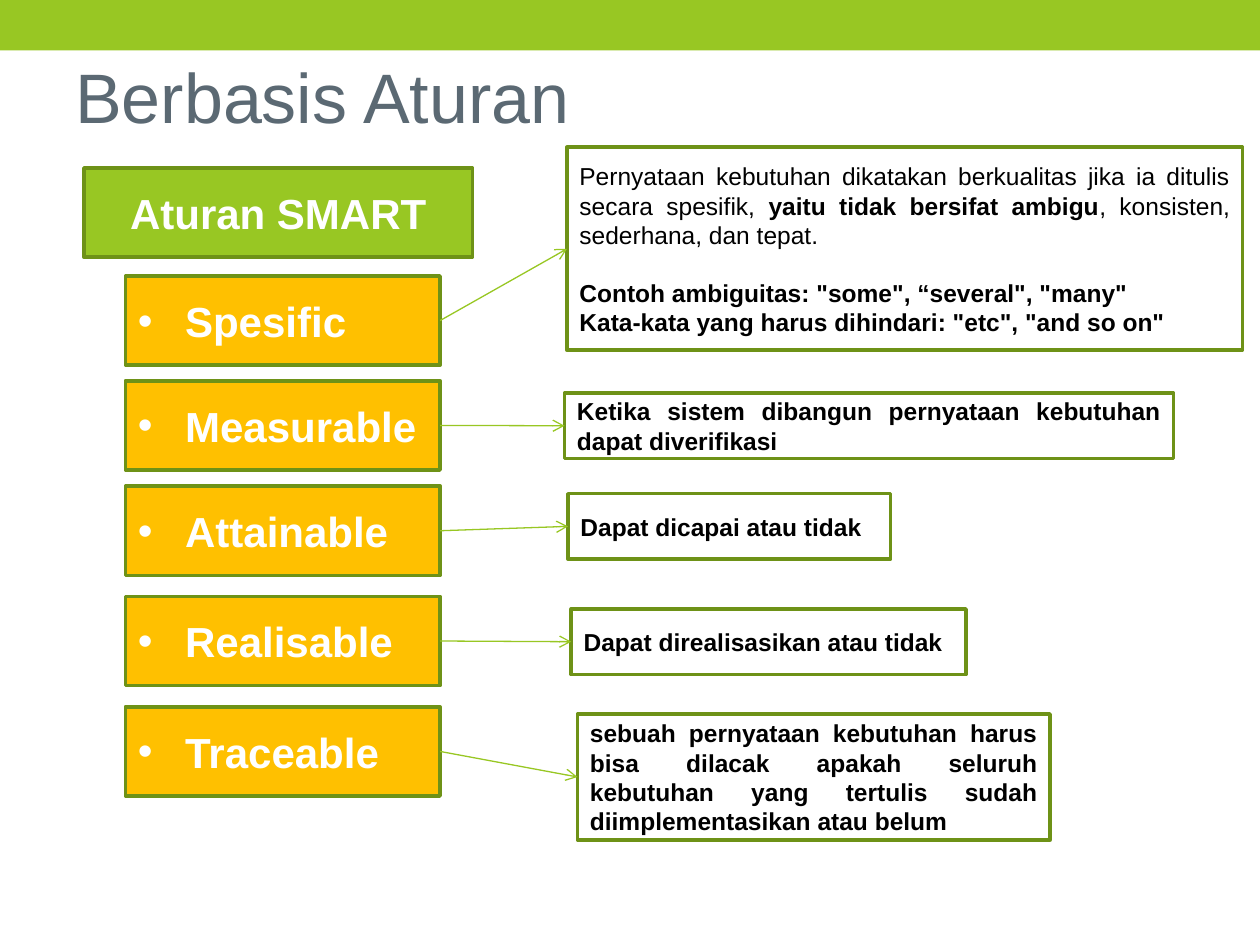
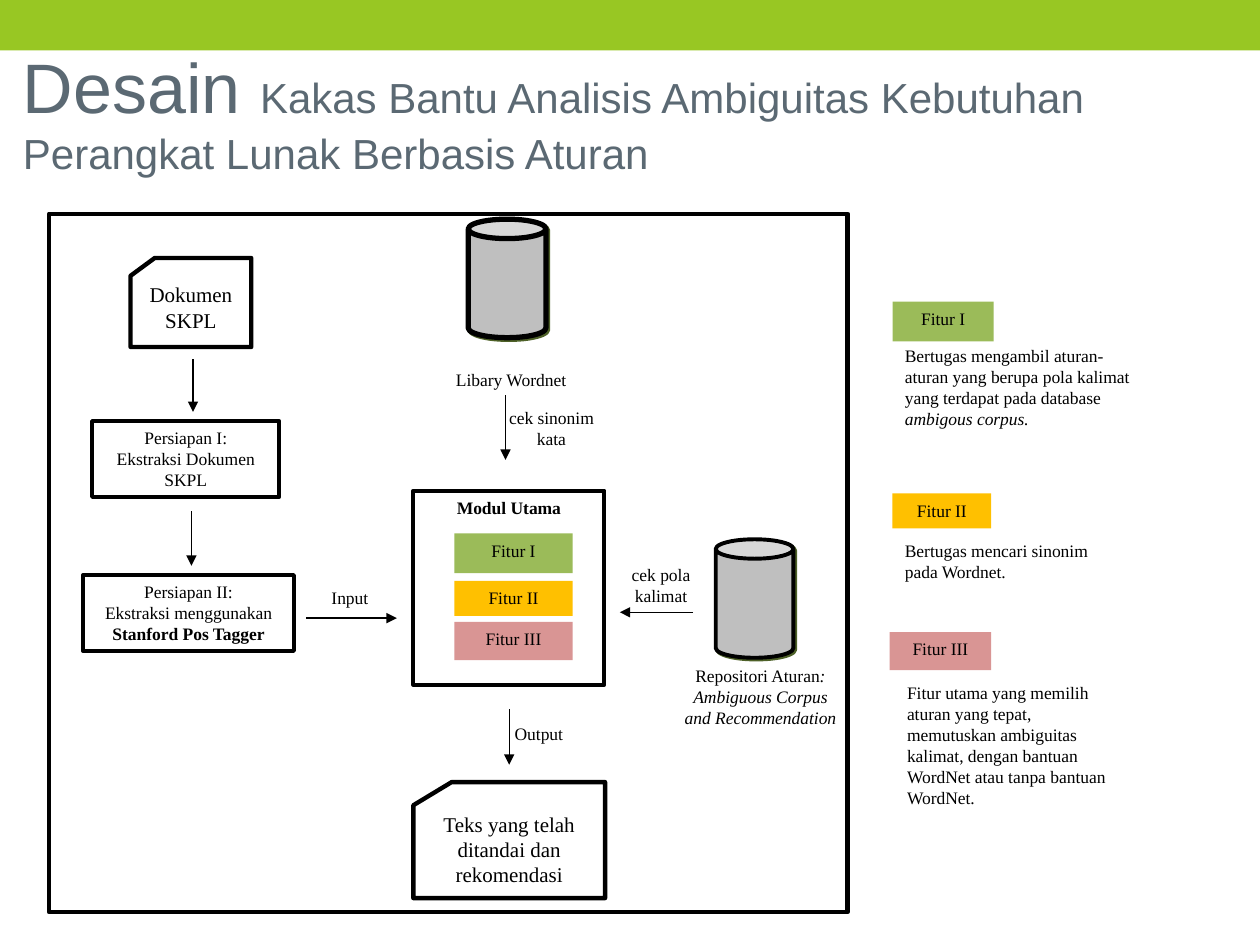
from lxml import etree
from pptx import Presentation
from pptx.dml.color import RGBColor
from pptx.enum.shapes import MSO_CONNECTOR, MSO_SHAPE
from pptx.enum.text import MSO_ANCHOR, PP_ALIGN
from pptx.oxml.ns import qn
from pptx.util import Pt

RECTANGLE, CAN = MSO_SHAPE.RECTANGLE, MSO_SHAPE.CAN
CARD = MSO_SHAPE.FLOWCHART_CARD
STRAIGHT = MSO_CONNECTOR.STRAIGHT
TOP, MIDDLE = MSO_ANCHOR.TOP, MSO_ANCHOR.MIDDLE
LEFT, CENTER, JUSTIFY = PP_ALIGN.LEFT, PP_ALIGN.CENTER, PP_ALIGN.JUSTIFY
LEFT_SIDE, RIGHT_SIDE = 1, 3

COLORS = {
    "band": "98C723", "title": "5B6973", "border": "6E9217", "amber": "FFC000",
    "green": "9BBB59", "rose": "D99594", "gray": "BFBFBF", "shade": "4E6128",
    "white": "FFFFFF", "black": "000000",
}
TITLE = {"name": "Arial", "size": Pt(40), "color": "title"}
BUTTON = {"name": "Arial", "size": Pt(24), "bold": True, "color": "white"}
NOTE = {"name": "Arial", "size": Pt(14), "color": "black"}
LABEL = {"name": "Times New Roman", "size": Pt(10), "color": "black"}
CARD_TEXT = LABEL | {"size": Pt(12)}
BOLD, ITALIC = {"bold": True}, {"italic": True}


class Page:
    """Holds the deck style and the current slide, and draws each kind of element."""

    def __init__(self, deck):
        self.deck = deck
        self.slide = None

    def color(self, name):
        return RGBColor.from_string(COLORS[name])

    def start(self, title, area):
        self.slide = self.deck.slides.add_slide(self.deck.slide_layouts[6])
        self.shape((0, 0, 720, 28.8), fill="band")
        self.text(area, [title], TITLE, align=LEFT, anchor=MIDDLE)

    def set_text(self, box, paragraphs, style, align, anchor, gaps=()):
        frame = box.text_frame
        layout = {"word_wrap": True, "vertical_anchor": anchor,
                  "margin_left": Pt(7.2), "margin_right": Pt(7.2),
                  "margin_top": Pt(3.6), "margin_bottom": Pt(3.6)}
        for name, value in layout.items():
            setattr(frame, name, value)
        for index, spans in enumerate(paragraphs):
            para = frame.add_paragraph() if index else frame.paragraphs[0]
            para.alignment = align
            if index in gaps:
                para.space_before = Pt(16)
            for content, changes in [(spans, {})] if isinstance(spans, str) else spans:
                span = para.add_run()
                span.text = content
                for name, value in (style | changes).items():
                    if name == "color":
                        span.font.color.rgb = self.color(value)
                    else:
                        setattr(span.font, name, value)

    def text(self, area, paragraphs, style=LABEL, align=CENTER, anchor=TOP):
        box = self.slide.shapes.add_textbox(*map(Pt, area))
        self.set_text(box, paragraphs, style, align, anchor)

    def shape(self, area, paragraphs=(), style=LABEL, kind=RECTANGLE, fill=None,
              line=None, width=2.25, align=CENTER, anchor=TOP, gaps=()):
        box = self.slide.shapes.add_shape(kind, *map(Pt, area))
        box.shadow.inherit = False
        if fill:
            box.fill.solid()
            box.fill.fore_color.rgb = self.color(fill)
        else:
            box.fill.background()
        if line:
            box.line.color.rgb = self.color(line)
            box.line.width = Pt(width)
        else:
            box.line.fill.background()
        if paragraphs:
            self.set_text(box, paragraphs, style, align, anchor, gaps)
        return box

    def bullet(self, box):
        properties = box.text_frame.paragraphs[0]._p.get_or_add_pPr()
        properties.set("marL", str(Pt(27)))
        properties.set("indent", str(-Pt(27)))
        etree.SubElement(properties, qn("a:buFont"), typeface="Arial")
        etree.SubElement(properties, qn("a:buChar"), char="•")

    def cylinder(self, area, width):
        can = self.shape(area, kind=CAN, fill="gray", line="black", width=width)
        effects = can._element.spPr.find(qn("a:effectLst"))
        shadow = etree.SubElement(effects, qn("a:outerShdw"), blurRad="0",
                                  dist=str(Pt(1.4)), dir="2700000")
        etree.SubElement(shadow, qn("a:srgbClr"), val=COLORS["shade"])

    def arrow(self, points=(0, 0, 0, 0), color="black", head="triangle", join=None):
        line = self.slide.shapes.add_connector(STRAIGHT, *map(Pt, points))
        if join:
            line.begin_connect(join[0], RIGHT_SIDE)
            line.end_connect(join[1], LEFT_SIDE)
        line.line.color.rgb = self.color(color)
        line.line.width = Pt(0.75)
        etree.SubElement(line.line._get_or_add_ln(), qn("a:tailEnd"), type=head)
        etree.SubElement(line._element.spPr, qn("a:effectLst"))


def build_rules(page):
    """Draw the SMART rules, each joined to its explanation."""
    page.start("Berbasis Aturan", (36, 15.4, 648, 77.8))
    outline = {"line": "border", "width": 2.07, "anchor": MIDDLE}
    page.shape((48, 96, 222, 51), ["Aturan SMART"], BUTTON, fill="band", **outline)
    specific = [
        [("Pernyataan kebutuhan dikatakan berkualitas jika ia ditulis secara spesifik, ", {}),
         ("yaitu tidak bersifat ambigu", BOLD),
         (", konsisten, sederhana, dan tepat.", {})],
        [('Contoh ambiguitas: "some", “several", "many"', BOLD)],
        [('Kata-kata yang harus dihindari: "etc", "and so on"', BOLD)],
    ]
    rules = [
        ("Spesific", 157.7, (324, 84.2, 386, 116), specific),
        ("Measurable", 217.6, (322.6, 224.6, 348, 37.4),
         [[("Ketika sistem dibangun pernyataan kebutuhan dapat diverifikasi", BOLD)]]),
        ("Attainable", 277.8, (324.6, 282.1, 184.4, 37.4),
         [[("Dapat dicapai atau tidak", BOLD)]]),
        ("Realisable", 340.8, (326.4, 348, 225.6, 37.4),
         [[("Dapat direalisasikan atau tidak", BOLD)]]),
        ("Traceable", 403.9, (330, 408, 270, 72),
         [[("sebuah pernyataan kebutuhan harus bisa dilacak apakah seluruh kebutuhan "
            "yang tertulis sudah diimplementasikan atau belum", BOLD)]]),
    ]
    for name, top, area, paragraphs in rules:
        button = page.shape((71.7, top, 179.8, 51), [name], BUTTON, fill="amber",
                            align=LEFT, **outline)
        page.bullet(button)
        note = page.shape(area, paragraphs, NOTE, align=JUSTIFY,
                          gaps=(1,) if name == "Spesific" else (), **outline)
        page.arrow(color="band", head="arrow", join=(button, note))


def build_design(page):
    """Draw the tool's processing flow and the legend of its features."""
    page.start([("Desain ", {}),
                ("Kakas Bantu Analisis Ambiguitas Kebutuhan Perangkat Lunak Berbasis Aturan",
                 {"size": Pt(24)})], (6, 18, 705, 90))
    page.shape((28, 122.2, 456.4, 399), line="black", width=2.5)

    for area, content in [((74.6, 147.5, 69, 50.8), "Dokumen SKPL"),
                          ((236.2, 446.9, 109.6, 66.3),
                           "Teks yang telah ditandai dan rekomendasi")]:
        page.shape(area, [content], CARD_TEXT, CARD, "white", "black", 2.5)

    steps = [
        ((52.6, 240.6, 107, 43.4), ["Persiapan I:", "Ekstraksi Dokumen SKPL"]),
        ((47.4, 328.6, 120.6, 43.4),
         ["Persiapan II:", [("Ekstraksi menggunakan ", {}), ("Stanford Pos Tagger", BOLD)]]),
        ((236.2, 280.4, 109.2, 111), [[("Modul Utama", BOLD)]]),
    ]
    for area, paragraphs in steps:
        page.shape(area, paragraphs, fill="white", line="black")

    page.cylinder((267.6, 125.3, 44.4, 67.7), 3)
    page.cylinder((409, 308.2, 44.4, 67.7), 2.25)

    labels = [
        ((245.5, 207.4, 93, 24.5), ["Libary Wordnet"]),
        ((382.3, 376.6, 104.4, 46.8),
         [[("Repositori Aturan", {}), (":", ITALIC)],
          [("Ambiguous Corpus and Recommendation", ITALIC)]]),
        ((153.4, 331.9, 93, 24.5), ["Input"]),
        ((261.4, 409.7, 93, 24.5), ["Output"]),
        ((331.2, 319, 93, 38.9), ["cek pola", "kalimat"]),
        ((268.6, 229, 93, 38.9), ["cek sinonim", "kata"]),
    ]
    for area, paragraphs in labels:
        page.text(area, paragraphs)

    for points in [(110.3, 205.2, 110.3, 235.4), (109.4, 292.3, 109.4, 323.3),
                   (175, 353.2, 226.8, 353.2), (288.9, 226, 288.9, 262.8),
                   (396, 349.9, 354.2, 349.9), (291, 405.4, 291, 437)]:
        page.arrow(points)

    features = [
        ("Fitur I", "green", 22.8, 304.8, (510, 172.4, 57.8), (510, 193.7, 150, 41),
         [("Bertugas mengambil aturan-aturan yang berupa pola kalimat yang terdapat "
           "pada database ", {}), ("ambigous corpus.", ITALIC)]),
        ("Fitur II", "amber", 20, 332, (510, 282, 56.4), (510, 305.3, 138, 30),
         "Bertugas mencari sinonim pada Wordnet."),
        ("Fitur III", "rose", 21.8, 355.4, (508.4, 361.2, 58), (511.2, 385.9, 137, 55),
         "Fitur utama yang memilih aturan yang tepat, memutuskan ambiguitas kalimat, "
         "dengan bantuan WordNet atau tanpa bantuan WordNet."),
    ]
    for name, color, height, module_top, key, area, description in features:
        page.shape((259.6, module_top, 67.6, height), [name], fill=color)
        page.shape((*key, height), [name], fill=color)
        page.text(area, [description], align=LEFT)


def main():
    """Build both slides and save the deck."""
    deck = Presentation()
    deck.slide_width, deck.slide_height = Pt(720), Pt(540)
    page = Page(deck)
    build_rules(page)
    build_design(page)
    deck.save("out.pptx")


if __name__ == "__main__":
    main()
